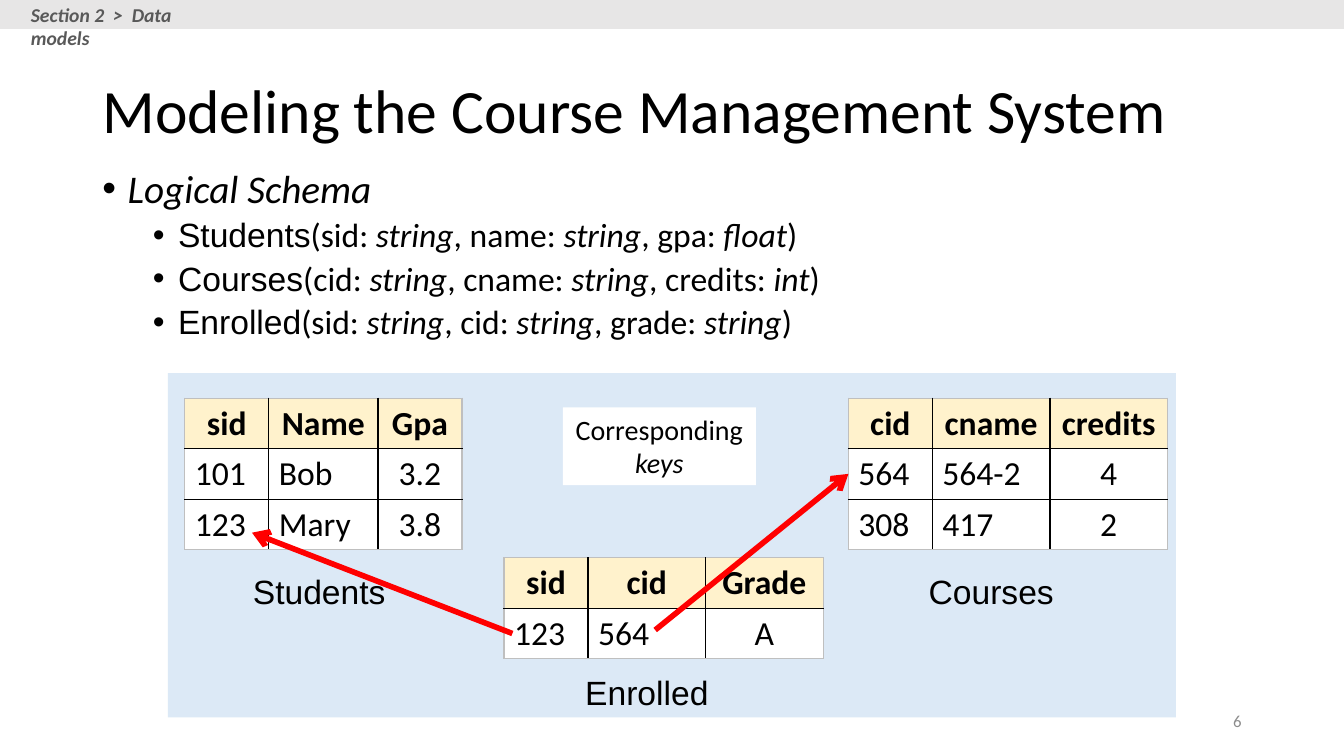
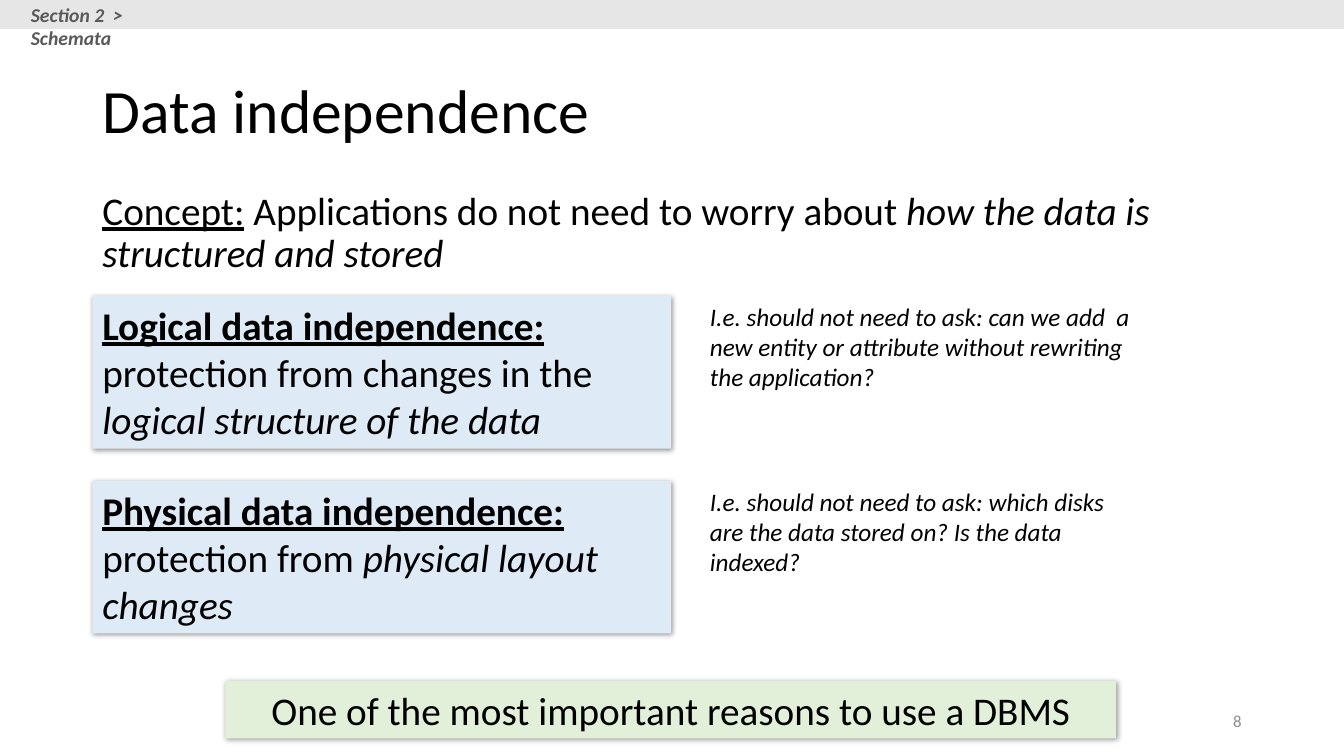
import pptx
import pptx.util
import pptx.dml.color
import pptx.enum.shapes
import pptx.enum.text
import pptx.oxml
import pptx.oxml.ns
from dataclasses import dataclass

Pt = pptx.util.Pt
ALIGN = pptx.enum.text.PP_ALIGN
ANCHOR = pptx.enum.text.MSO_ANCHOR


@dataclass(frozen=True)
class Theme:
    text: str = "000000"
    band: str = "E7E6E6"
    crumb: str = "595959"
    number: str = "8C8C8C"
    panel: str = "5B9BD5"
    white: str = "FFFFFF"
    header: str = "FFF2CC"
    definition: str = "DEEBF7"
    takeaway: str = "E2F0D9"
    key_arrow: str = "FF0000"
    table_edge: str = "BFBFBF"
    font: str = "Calibri"
    name_font: str = "Arial"
    title_size: float = 44
    lead_size: float = 28
    body_size: float = 24
    label_size: float = 20
    aside_size: float = 18
    crumb_size: float = 14
    number_size: float = 12


THEME = Theme()
SLIDE_W, SLIDE_H = 960, 540
LEFT, CONTENT_W = 66, 828


def rgb(color):
    return pptx.dml.color.RGBColor.from_string(color)


def xml(tag, body="", attributes=""):
    return pptx.oxml.parse_xml(
        f'<a:{tag} {pptx.oxml.ns.nsdecls("a")} {attributes}>{body}</a:{tag}>')


def write(frame, paragraphs, size=THEME.body_size, font=THEME.font, color=THEME.text,
          style="", align=ALIGN.LEFT, anchor=ANCHOR.TOP, spacing=None, before=0):
    """Each paragraph is a string or a list of (text, style letters, font) runs."""
    frame.word_wrap = True
    frame.vertical_anchor = anchor
    for index, runs in enumerate(paragraphs):
        paragraph = frame.paragraphs[0] if index == 0 else frame.add_paragraph()
        paragraph.alignment = align
        paragraph.space_before = Pt(before)
        if spacing:
            paragraph.line_spacing = spacing
        for text, marks, *face in [(runs, style)] if isinstance(runs, str) else runs:
            run = paragraph.add_run()
            run.text = text
            run.font.size = Pt(size)
            run.font.name = face[0] if face else font
            run.font.color.rgb = rgb(color)
            run.font.bold = "b" in marks
            run.font.italic = "i" in marks
            run.font.underline = "u" in marks


def place(shape, box):
    shape.left, shape.top, shape.width, shape.height = (Pt(n) for n in box)


def add_text(slide, box, paragraphs, **format):
    write(slide.shapes.add_textbox(*map(Pt, box)).text_frame, paragraphs, **format)


def add_block(slide, box, fill, paragraphs=(), alpha=None, shadow=False, **format):
    block = slide.shapes.add_shape(pptx.enum.shapes.MSO_SHAPE.RECTANGLE, *map(Pt, box))
    block.fill.solid()
    block.fill.fore_color.rgb = rgb(fill)
    block.line.fill.background()
    block.shadow.inherit = False
    properties = block.fill._xPr
    if alpha:
        properties.find(".//" + pptx.oxml.ns.qn("a:srgbClr")).append(
            xml("alpha", attributes=f'val="{alpha * 1000}"'))
    if shadow:
        properties.find(pptx.oxml.ns.qn("a:effectLst")).append(xml(
            "outerShdw", '<a:srgbClr val="000000"><a:alpha val="40000"/></a:srgbClr>',
            f'blurRad="{Pt(4)}" dist="{Pt(1)}" dir="2700000" algn="tl" rotWithShape="0"'))
    if paragraphs:
        write(block.text_frame, paragraphs, **format)


# Parts shared by all slides
def add_base(deck, crumb, title, number, body_box):
    slide = deck.slides.add_slide(deck.slide_layouts[1])
    heading, body = slide.shapes.title, slide.placeholders[1]
    place(heading, (LEFT, 29, CONTENT_W, 104))
    place(body, body_box)
    for placeholder in (heading, body):
        placeholder.text_frame.auto_size = pptx.enum.text.MSO_AUTO_SIZE.NONE
    write(heading.text_frame, [title], size=THEME.title_size, anchor=ANCHOR.MIDDLE,
          spacing=0.9)
    add_block(slide, (0, 0, SLIDE_W, 20.6), THEME.band)
    add_text(slide, (15, -1.5, 130, 24.5), [crumb], size=THEME.crumb_size,
             color=THEME.crumb, style="bi")
    add_text(slide, (678, 500.5, 216, 29), [number], size=THEME.number_size,
             color=THEME.number, align=ALIGN.RIGHT, anchor=ANCHOR.MIDDLE)
    return slide, body.text_frame


def set_bullet(paragraph, indent, hanging=18):
    properties = paragraph._p.get_or_add_pPr()
    properties.set("marL", str(Pt(indent)))
    properties.set("indent", str(Pt(-hanging)))
    properties.append(xml("buFont", attributes='typeface="Arial"'))
    properties.append(xml("buChar", attributes='char="•"'))


# Logical schema list
def schema_item(relation, *fields):
    runs = [(relation, "", THEME.name_font), ("(", "")]
    for index, (field, kind) in enumerate(fields):
        runs += [((", " if index else "") + field + ": ", ""), (kind, "i")]
    return runs + [(")", "")]


def fill_schema(frame):
    write(frame, ["Logical Schema"], size=THEME.lead_size, style="i", spacing=0.9,
          before=10)
    set_bullet(frame.paragraphs[0], 18)
    relations = [
        schema_item("Students", ("sid", "string"), ("name", "string"), ("gpa", "float")),
        schema_item("Courses", ("cid", "string"), ("cname", "string"),
                    ("credits", "int")),
        schema_item("Enrolled", ("sid", "string"), ("cid", "string"),
                    ("grade", "string")),
    ]
    for relation in relations:
        item = frame.add_paragraph()
        item.level = 1
        item.line_spacing = 0.9
        item.space_before = Pt(5)
        for text, marks, *face in relation:
            run = item.add_run()
            run.text = text
            run.font.size = Pt(THEME.body_size)
            run.font.name = face[0] if face else THEME.font
            run.font.italic = "i" in marks
            run.font.color.rgb = rgb(THEME.text)
        set_bullet(item, 54)


# Relation table with its name below
def add_relation(slide, left, top, widths, rows, name, name_left, name_top):
    row_height = 36
    grid = slide.shapes.add_table(len(rows), len(widths), Pt(left), Pt(top),
                                  Pt(sum(widths)), Pt(row_height * len(rows))).table
    grid.first_row = grid.horz_banding = False
    for column, width in zip(grid.columns, widths):
        column.width = Pt(width)
    last_row, last_column = len(rows) - 1, len(widths) - 1
    for r, row in enumerate(rows):
        grid.rows[r].height = Pt(row_height)
        for c, value in enumerate(row):
            cell = grid.cell(r, c)
            centered = r == 0 or c == last_column
            write(cell.text_frame, [value], style="b" if r == 0 else "",
                  align=ALIGN.CENTER if centered else ALIGN.LEFT)
            outer = {"lnL": c == 0, "lnR": c == last_column,
                     "lnT": r == 0, "lnB": r == last_row}
            for side, is_edge in outer.items():
                color = THEME.table_edge if is_edge else THEME.text
                cell._tc.get_or_add_tcPr().append(xml(
                    side, f'<a:solidFill><a:srgbClr val="{color}"/></a:solidFill>',
                    f'w="{Pt(1)}"'))
            cell.fill.solid()
            cell.fill.fore_color.rgb = rgb(THEME.white if r else THEME.header)
    add_text(slide, (name_left, name_top, 132, 36), [name], font=THEME.name_font,
             align=ALIGN.CENTER)


def add_key_arrow(slide, start, end):
    arrow = slide.shapes.add_connector(pptx.enum.shapes.MSO_CONNECTOR.STRAIGHT,
                                       *map(Pt, start + end))
    arrow.line.color.rgb = rgb(THEME.key_arrow)
    arrow.line.width = Pt(4)
    arrow.line._get_or_add_ln().append(xml("tailEnd", attributes='type="arrow"'))
    arrow._element.spPr.append(xml("effectLst"))


# Panel of linked tables, placed from its top left corner
def add_instance_panel(slide, box):
    x, y, _, _ = box
    add_block(slide, box, THEME.panel, alpha=21)
    add_relation(slide, x + 12, y + 18, (60, 78, 60),
                 [("sid", "Name", "Gpa"), ("101", "Bob", "3.2"), ("123", "Mary", "3.8")],
                 "Students", x + 42, y + 138)
    add_relation(slide, x + 486, y + 18, (60, 84, 84),
                 [("cid", "cname", "credits"), ("564", "564-2", "4"),
                  ("308", "417", "2")],
                 "Courses", x + 522, y + 138)
    add_relation(slide, x + 240, y + 132, (60, 84, 84),
                 [("sid", "cid", "Grade"), ("123", "564", "A")],
                 "Enrolled", x + 276, y + 210)
    add_key_arrow(slide, (x + 246, y + 186), (x + 60, y + 114))
    add_key_arrow(slide, (x + 348, y + 183.5), (x + 486, y + 72))
    add_block(slide, (x + 282, y + 24.5, 138, 55.5), THEME.white,
              [[("Corresponding ", ""), ("keys", "i")]], size=THEME.label_size,
              align=ALIGN.CENTER)


# Definition box with a question beside it
def add_definition(slide, box, term, meaning, question, question_width):
    x, y, width, _ = box
    add_block(slide, box, THEME.definition, [[(term, "bu"), (" ", "b"), *meaning]],
              size=THEME.lead_size, shadow=True)
    add_text(slide, (x + width + 20.5, y, question_width, 73), [question],
             size=THEME.aside_size, style="i")


def build_modeling(deck):
    slide, body = add_base(deck, "Section 2  >  Data models",
                           "Modeling the Course Management System", "6",
                           (LEFT, 117.5, 648, 140))
    fill_schema(body)
    add_instance_panel(slide, (120, 266.5, 720, 246))


def build_independence(deck):
    slide, body = add_base(deck, "Section 2  >  Schemata", "Data independence", "8",
                           (LEFT, 133, CONTENT_W, 75))
    write(body, [[("Concept:", "u"), (" Applications do not need to worry about ", ""),
                  ("how the data is structured and stored", "i")]],
          size=THEME.lead_size, spacing=0.9, before=10)
    properties = body.paragraphs[0]._p.get_or_add_pPr()
    properties.set("marL", "0")
    properties.set("indent", "0")
    properties.append(xml("buNone"))
    definitions = [
        ("Logical data independence:",
         [("protection from changes in the ", ""), ("logical structure of the data", "i")],
         "I.e. should not need to ask: can we add  a new entity or attribute without "
         "rewriting the application?", 320),
        ("Physical data independence:",
         [("protection from ", ""), ("physical layout changes", "i")],
         "I.e. should not need to ask: which disks are the data stored on? "
         "Is the data indexed?", 307.5),
    ]
    for index, definition in enumerate(definitions):
        add_definition(slide, (LEFT, 211.5 + 132 * index, 413.5, 109), *definition)
    add_block(slide, (161, 486.5, 636, 41), THEME.takeaway,
              ["One of the most important reasons to use a DBMS"],
              size=THEME.lead_size, align=ALIGN.CENTER, shadow=True)


presentation = pptx.Presentation()
presentation.slide_width, presentation.slide_height = Pt(SLIDE_W), Pt(SLIDE_H)
build_modeling(presentation)
build_independence(presentation)
presentation.save("out.pptx")
